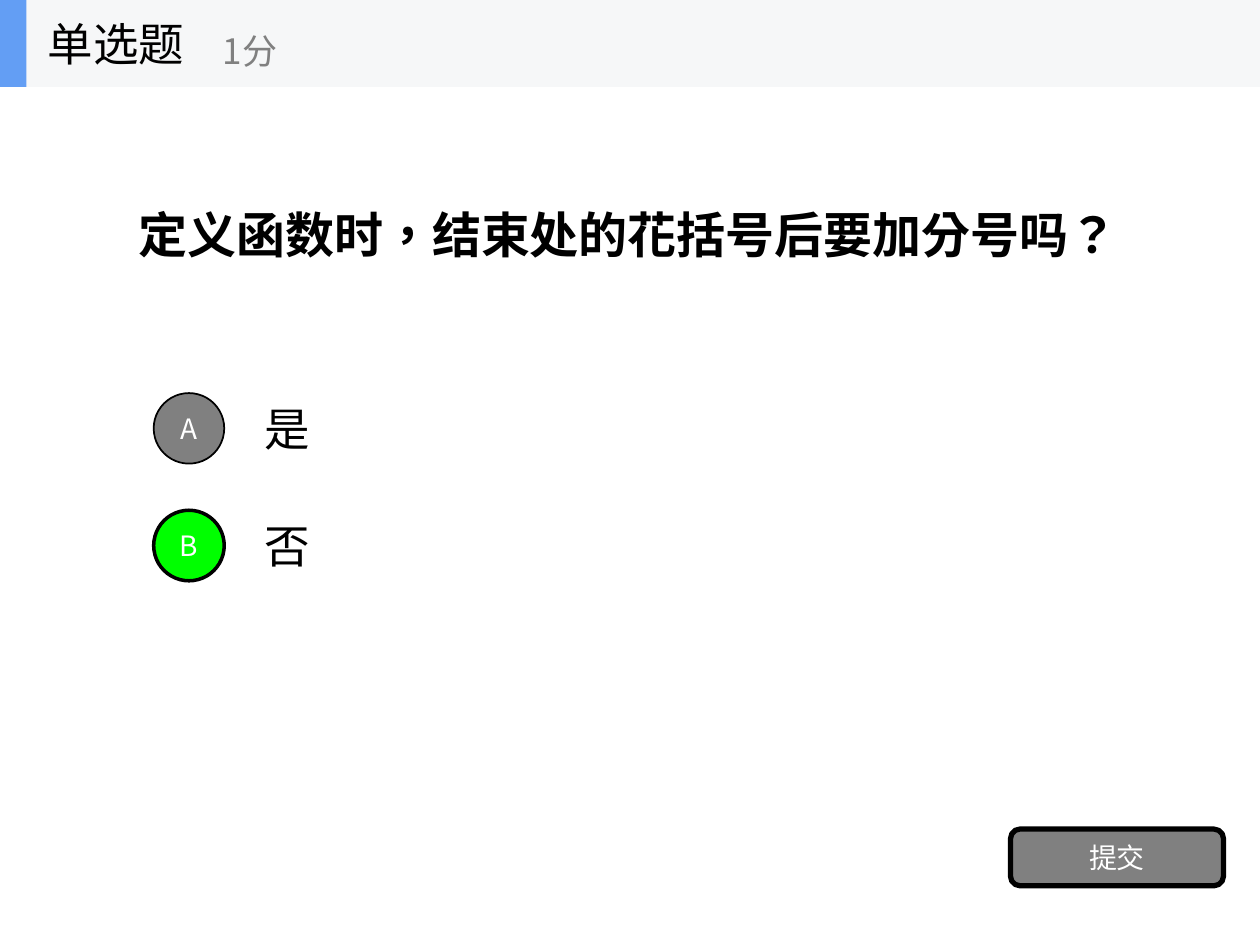
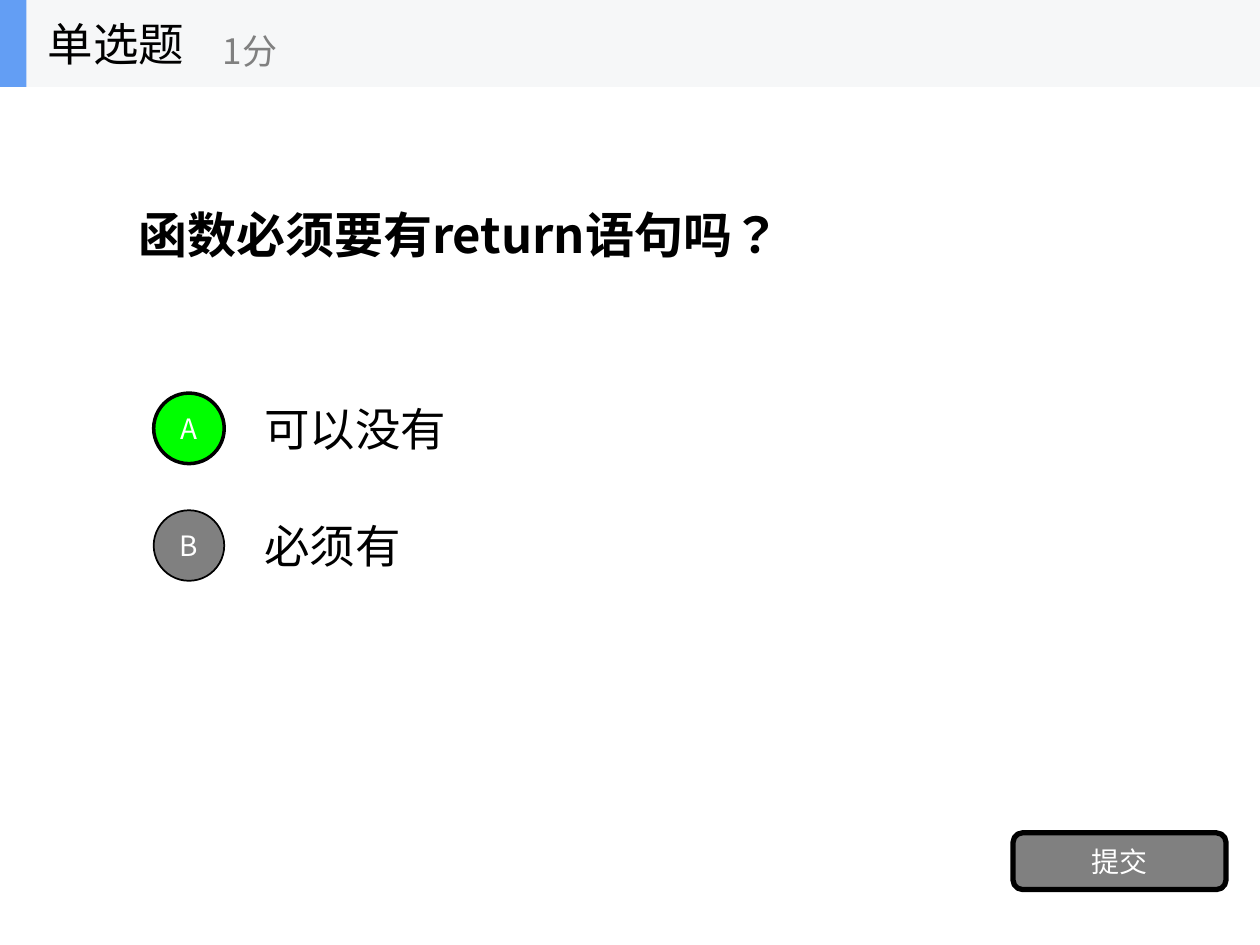
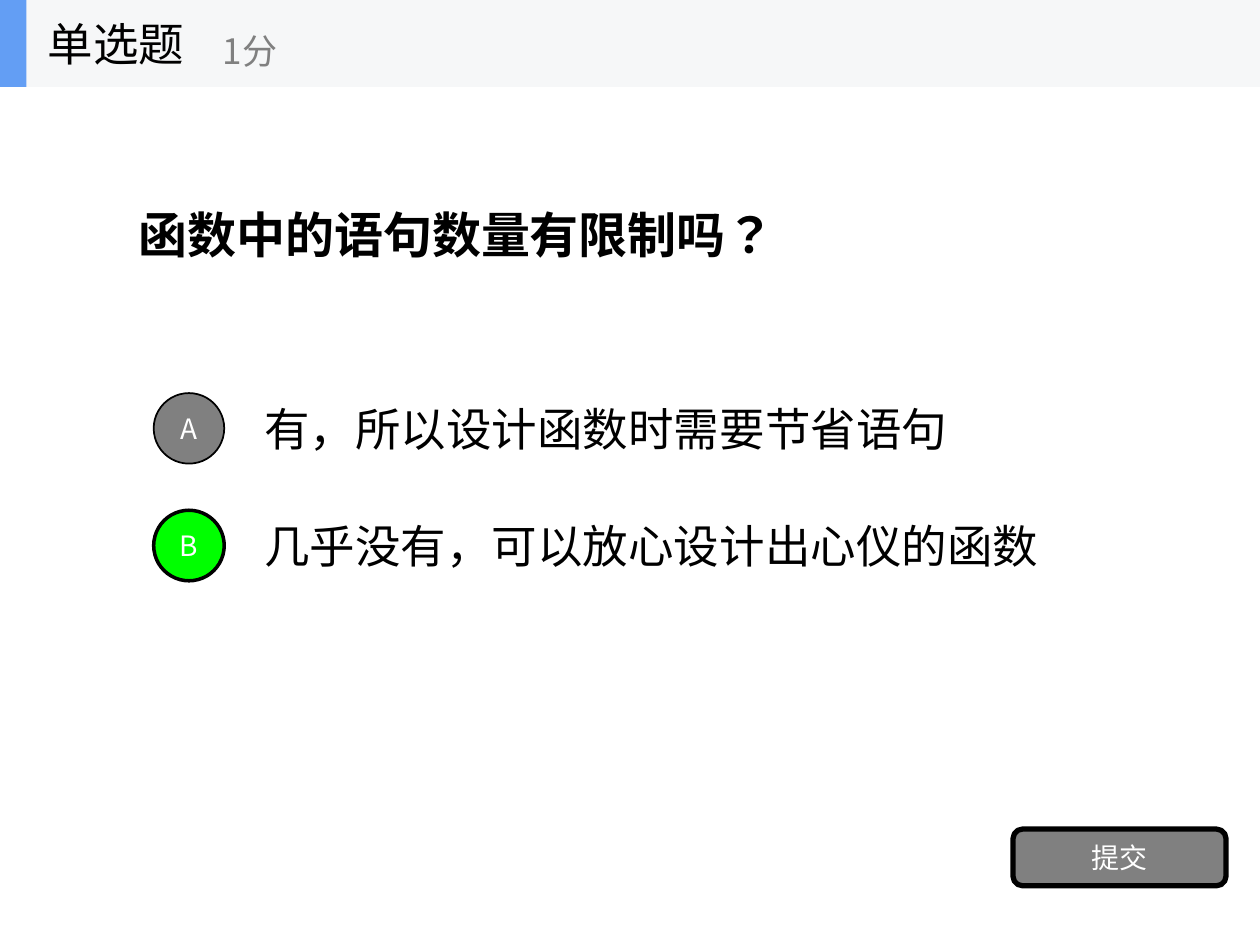
from lxml import etree
from pptx import Presentation
from pptx.dml.color import RGBColor
from pptx.enum.lang import MSO_LANGUAGE_ID
from pptx.enum.shapes import MSO_SHAPE
from pptx.enum.text import MSO_ANCHOR, MSO_AUTO_SIZE, PP_ALIGN
from pptx.oxml.ns import qn
from pptx.util import Pt

RECTANGLE = MSO_SHAPE.RECTANGLE
ROUNDED = MSO_SHAPE.ROUNDED_RECTANGLE
ELLIPSE = MSO_SHAPE.OVAL
LEFT, CENTER = PP_ALIGN.LEFT, PP_ALIGN.CENTER
MIDDLE = MSO_ANCHOR.MIDDLE
NO_AUTOFIT = MSO_AUTO_SIZE.NONE
SIMPLIFIED = MSO_LANGUAGE_ID.SIMPLIFIED_CHINESE
TRADITIONAL = MSO_LANGUAGE_ID.TRADITIONAL_CHINESE

FONT = "Noto Sans CJK SC"
COLORS = {
    "text": "000000",
    "white": "FFFFFF",
    "gray": "808080",
    "correct": "00FF00",
    "band": "F6F7F8",
    "accent": "639EF4",
}
TITLE_ONLY = 5
PAGE_WIDTH, PAGE_HEIGHT = 720, 540
HEADER_HEIGHT = 49.68

# Answer rows: label circle and text share one centre line
ROW_TOP, ROW_HEIGHT, ROW_PITCH = 219.6, 50.4, 66.96
CIRCLE_LEFT, CIRCLE_SIZE = 87.84, 40.32
ANSWER_LEFT, ANSWER_WIDTH = 144, 504


class QuizDeck:
    """Holds the style and the current slide."""

    def __init__(self):
        self.deck = Presentation()
        self.deck.slide_width = Pt(PAGE_WIDTH)
        self.deck.slide_height = Pt(PAGE_HEIGHT)
        self.page = None

    def new_page(self):
        layout = self.deck.slide_layouts[TITLE_ONLY]
        self.page = self.deck.slides.add_slide(layout)

    def set_text(self, shape, text, size, color="text", align=LEFT, bold=False,
                 language=SIMPLIFIED):
        frame = shape.text_frame
        frame.text = text
        frame.word_wrap = True
        frame.auto_size = NO_AUTOFIT
        frame.vertical_anchor = MIDDLE
        para = frame.paragraphs[0]
        para.alignment = align
        span = para.runs[0]
        font = span.font
        font.name, font.size, font.bold = FONT, Pt(size), bold
        font.color.rgb = RGBColor.from_string(COLORS[color])
        font.language_id = language
        # East Asian glyphs need their own typeface entry
        properties = span._r.get_or_add_rPr()
        etree.SubElement(properties, qn("a:ea"), typeface=FONT)

    def text(self, parent, area, text, size, color="text"):
        box = parent.shapes.add_textbox(*map(Pt, area))
        self.set_text(box, text, size, color)

    def shape(self, parent, kind, area, fill, line_width=0):
        shape = parent.shapes.add_shape(kind, *map(Pt, area))
        shape.shadow.inherit = False
        shape.fill.solid()
        shape.fill.fore_color.rgb = RGBColor.from_string(COLORS[fill])
        if line_width:
            shape.line.color.rgb = RGBColor.from_string(COLORS["text"])
            shape.line.width = Pt(line_width)
        else:
            shape.line.fill.background()
        return shape

    def button(self, kind, area, text, fill, line_width):
        shape = self.shape(self.page, kind, area, fill, line_width)
        frame = shape.text_frame
        frame.margin_left = frame.margin_right = 0
        frame.margin_top = frame.margin_bottom = 0
        self.set_text(shape, text, 16, "white", CENTER)

    def question(self, text):
        title = self.page.shapes.title
        title.left, title.top = Pt(72), Pt(HEADER_HEIGHT)
        title.width, title.height = Pt(576), Pt(168.48)
        self.set_text(title, text, 28, bold=True, language=TRADITIONAL)

    def answers(self, answers, correct):
        tops = [ROW_TOP + row * ROW_PITCH for row in range(len(answers))]
        for top, answer in zip(tops, answers):
            self.text(self.page, (ANSWER_LEFT, top, ANSWER_WIDTH, ROW_HEIGHT), answer, 26)
        for top, label in zip(tops, "AB"):
            circle_top = top + (ROW_HEIGHT - CIRCLE_SIZE) / 2
            fill, line_width = ("correct", 2) if label == correct else ("gray", 1)
            self.button(ELLIPSE, (CIRCLE_LEFT, circle_top, CIRCLE_SIZE, CIRCLE_SIZE),
                        label, fill, line_width)

    def submit(self, left, top):
        self.button(ROUNDED, (left, top, 121.68, 32.4), "提交", "gray", 3)

    def header(self):
        group = self.page.shapes.add_group_shape()
        self.shape(group, RECTANGLE, (0, 0, PAGE_WIDTH, HEADER_HEIGHT), "band")
        self.shape(group, RECTANGLE, (0, 0, 15.12, HEADER_HEIGHT), "accent")
        self.text(group, (20.16, 0, 149.76, HEADER_HEIGHT), "单选题", 26)
        self.text(group, (120.24, 8.64, 180, 40.32), "1分", 20, "gray")


# Question, answers, correct label, position of the submit button
QUESTIONS = [
    ("定义函数时，结束处的花括号后要加分号吗？",
     ["是", "否"], "B", (577.44, 473.76)),
    ("函数必须要有return语句吗？",
     ["可以没有", "必须有"], "A", (578.88, 475.92)),
    ("函数中的语句数量有限制吗？",
     ["有，所以设计函数时需要节省语句", "几乎没有，可以放心设计出心仪的函数"],
     "B", (578.88, 473.76)),
]

quiz = QuizDeck()
for question, answers, correct, submit_position in QUESTIONS:
    quiz.new_page()
    quiz.question(question)
    quiz.answers(answers, correct)
    quiz.submit(*submit_position)
    quiz.header()

quiz.deck.save("out.pptx")
